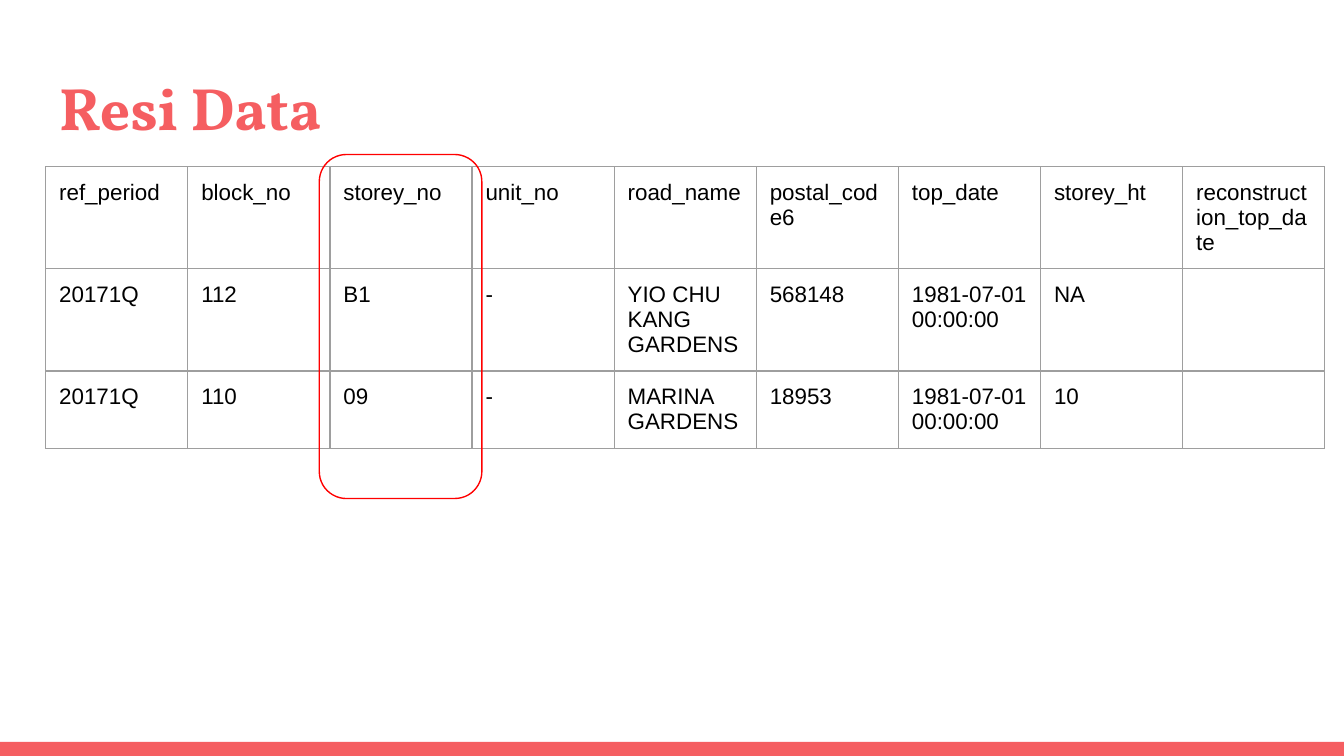
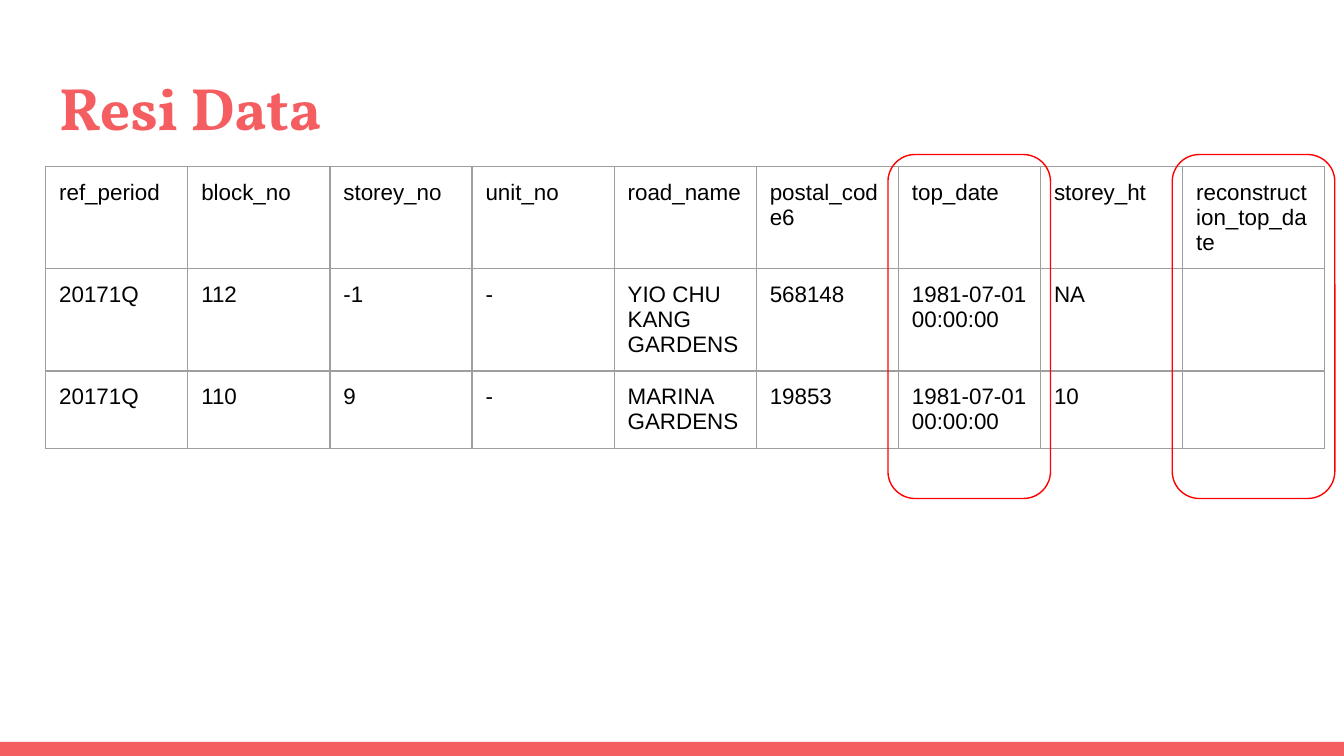
from lxml.etree import SubElement as Sub
from pptx import Presentation
from pptx.dml.color import RGBColor as RGB
from pptx.enum.shapes import MSO_SHAPE as Shape
from pptx.enum.text import MSO_ANCHOR as Anchor, MSO_AUTO_SIZE as Fit, PP_ALIGN as Align
from pptx.oxml.ns import qn
from pptx.util import Inches, Pt

COLORS = {"coral": "F55E61", "ink": "000000", "grid": "9E9E9E", "mark": "FF0000"}
HEADS = ["ref_period", "block_no", "storey_no", "unit_no", "road_name",
         "postal_code6", "top_date", "storey_ht", "reconstruction_top_date"]
LEFT, SPAN, PAD = Inches(0.34), Inches(9.52), Inches(0.1)
WIDE = SPAN // len(HEADS)
DATE = "1981-07-01 00:00:00"
PAGES = [
    {"floors": ["B1", "09"], "code": "18953", "marks": ["storey_no"]},
    {"floors": ["-1", "9"], "code": "19853",
     "marks": ["top_date", "reconstruction_top_date"]},
]


def style(para, name, size, color, bold=False):
    para.alignment = Align.LEFT
    font = para.font
    font.name, font.size, font.bold = name, Pt(size), bold
    font.color.rgb = RGB.from_string(COLORS[color])


def border(cell):
    props = cell._tc.get_or_add_tcPr()
    for side in ("lnL", "lnR", "lnT", "lnB"):
        line = Sub(props, qn(f"a:{side}"), w=str(Pt(0.75)))
        fill = Sub(line, qn("a:solidFill"))
        Sub(fill, qn("a:srgbClr"), val=COLORS["grid"])


deck = Presentation()
deck.slide_width = Inches(10)
deck.slide_height = Inches(10) * 9 // 16
layout = deck.slide_layouts[5]

for page in PAGES:
    slide = deck.slides.add_slide(layout)
    if page is PAGES[0]:
        band = slide.shapes.add_shape(
            Shape.RECTANGLE, 0, Inches(5.52), Inches(10), Inches(0.11))
        band.shadow.inherit = False
        band.fill.solid()
        band.fill.fore_color.rgb = RGB.from_string(COLORS["coral"])
        band.line.fill.background()
        layout.shapes.element.append(band.element)

    title = slide.shapes.title
    title.left, title.top = LEFT, Inches(0.43)
    title.width, title.height = Inches(9.32), Inches(0.68)
    frame = title.text_frame
    frame.text = "Resi Data"
    frame.word_wrap, frame.auto_size = True, Fit.NONE
    frame.vertical_anchor = Anchor.TOP
    frame.margin_left = frame.margin_right = PAD
    frame.margin_top = frame.margin_bottom = PAD
    style(frame.paragraphs[0], "Vollkorn", 32, "coral", True)

    low, high = page["floors"]
    rows = [
        HEADS,
        ["20171Q", "112", low, "-", "YIO CHU KANG GARDENS", "568148", DATE, "NA", ""],
        ["20171Q", "110", high, "-", "MARINA GARDENS", page["code"], DATE, "10", ""],
    ]
    table = slide.shapes.add_table(
        len(rows), len(HEADS), LEFT, Inches(1.24),
        SPAN, Inches(0.42) * len(rows)).table
    table.first_row = table.horz_banding = False
    for col in table.columns:
        col.width = WIDE
    for r, row in enumerate(rows):
        table.rows[r].height = Inches(0.42)
        for c, text in enumerate(row):
            cell = table.cell(r, c)
            cell.text = text
            cell.margin_left = cell.margin_right = PAD
            cell.margin_top = cell.margin_bottom = PAD
            border(cell)
            cell.fill.background()
            style(cell.text_frame.paragraphs[0], "Arial", 12, "ink")

    for head in page["marks"]:
        x = LEFT + WIDE * HEADS.index(head) - Inches(0.08)
        mark = slide.shapes.add_shape(
            Shape.ROUNDED_RECTANGLE, x, Inches(1.15), Inches(1.21), Inches(2.56))
        mark.shadow.inherit = False
        mark.fill.background()
        mark.line.color.rgb = RGB.from_string(COLORS["mark"])
        mark.line.width = Pt(0.75)

deck.save("out.pptx")
